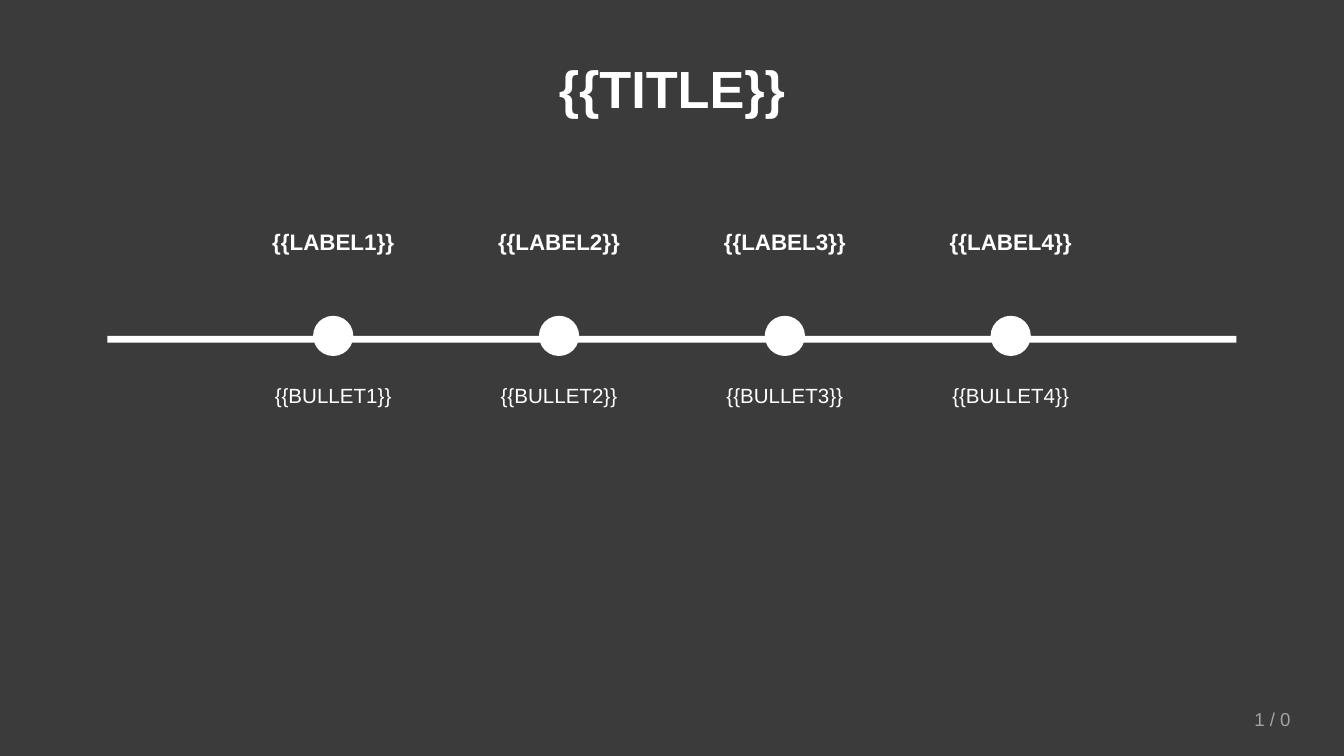
from dataclasses import dataclass

from lxml.etree import SubElement
from pptx import Presentation
from pptx.dml.color import RGBColor
from pptx.enum.shapes import MSO_SHAPE as Shape
from pptx.enum.text import MSO_ANCHOR as Anchor, PP_ALIGN as Align
from pptx.oxml.ns import qn
from pptx.util import Cm, Pt


@dataclass(frozen=True)
class Theme:
    """Colours, font and type sizes of the slide."""
    veil: str = "0A0A0A"
    veil_opacity: int = 80
    ink: str = "FFFFFF"
    muted: str = "A3A3A3"
    font: str = "Arial"
    title: int = 28
    label: int = 12
    bullet: int = 11
    page: int = 10


THEME = Theme()


def add_solid(s, kind, left, top, width, height, color):
    """Add a filled shape without outline or shadow."""
    sp = s.shapes.add_shape(kind, Cm(left), Cm(top), Cm(width), Cm(height))
    sp.shadow.inherit = False
    sp.fill.solid()
    sp.fill.fore_color.rgb = RGBColor.from_string(color)
    sp.line.fill.background()
    return sp


def add_text(s, text, left, top, width, height, size, color=THEME.ink,
             bold=False, align=Align.CENTER, anchor=Anchor.MIDDLE):
    """Add a wrapped text box holding one run."""
    tf = s.shapes.add_textbox(Cm(left), Cm(top), Cm(width), Cm(height)).text_frame
    tf.word_wrap = True
    tf.vertical_anchor = anchor
    p = tf.paragraphs[0]
    p.alignment = align
    r = p.add_run()
    r.text = text
    r.font.name = THEME.font
    r.font.size = Pt(size)
    r.font.bold = bold
    r.font.color.rgb = RGBColor.from_string(color)


def add_backdrop(s, left, top, width, height):
    """Cover the box with a translucent dark veil."""
    sp = add_solid(s, Shape.RECTANGLE, left, top, width, height, THEME.veil)
    clr = sp.fill._xPr.find(qn("a:solidFill")).find(qn("a:srgbClr"))
    SubElement(clr, qn("a:alpha"), val=str(THEME.veil_opacity * 1000))


def add_title(s, left, top, width, height):
    """Place the centred slide title in the box."""
    add_text(s, "{{TITLE}}", left, top, width, height, THEME.title, bold=True)


def add_timeline(s, left, top, width, height, milestones):
    """Space milestones evenly along a bar, labels above and bullets below."""
    axis, dot, column = top + 2.54, 0.76, 5.08
    bullet_top = top + 3.3
    add_solid(s, Shape.RECTANGLE, left, axis, width, 0.13, THEME.ink)
    step = width / (len(milestones) + 1)
    for i, (label, bullet) in enumerate(milestones, 1):
        center = left + i * step
        x = center - column / 2
        add_solid(s, Shape.OVAL, center - dot / 2, axis - dot / 2, dot, dot, THEME.ink)
        add_text(s, label, x, top, column, 1.52, THEME.label, bold=True)
        add_text(s, bullet, x, bullet_top, column, top + height - bullet_top,
                 THEME.bullet, anchor=Anchor.TOP)


def add_page_number(s, left, top, width, height):
    """Place the muted page counter in the box."""
    add_text(s, "1 / 0", left, top, width, height, THEME.page, THEME.muted,
             align=Align.RIGHT)


def main():
    """Build the timeline slide and save it."""
    prs = Presentation()
    prs.slide_width, prs.slide_height = Cm(25.4), Cm(14.29)
    s = prs.slides.add_slide(prs.slide_layouts[6])
    milestones = [(f"{{{{LABEL{n}}}}}", f"{{{{BULLET{n}}}}}") for n in range(1, 5)]
    add_backdrop(s, 0, 0, 25.4, 14.29)
    add_title(s, 1.27, 0.76, 22.86, 1.78)
    add_timeline(s, 2.03, 3.81, 21.34, 7.11, milestones)
    add_page_number(s, 21.59, 13.21, 3.05, 0.76)
    prs.save("out.pptx")


if __name__ == "__main__":
    main()
